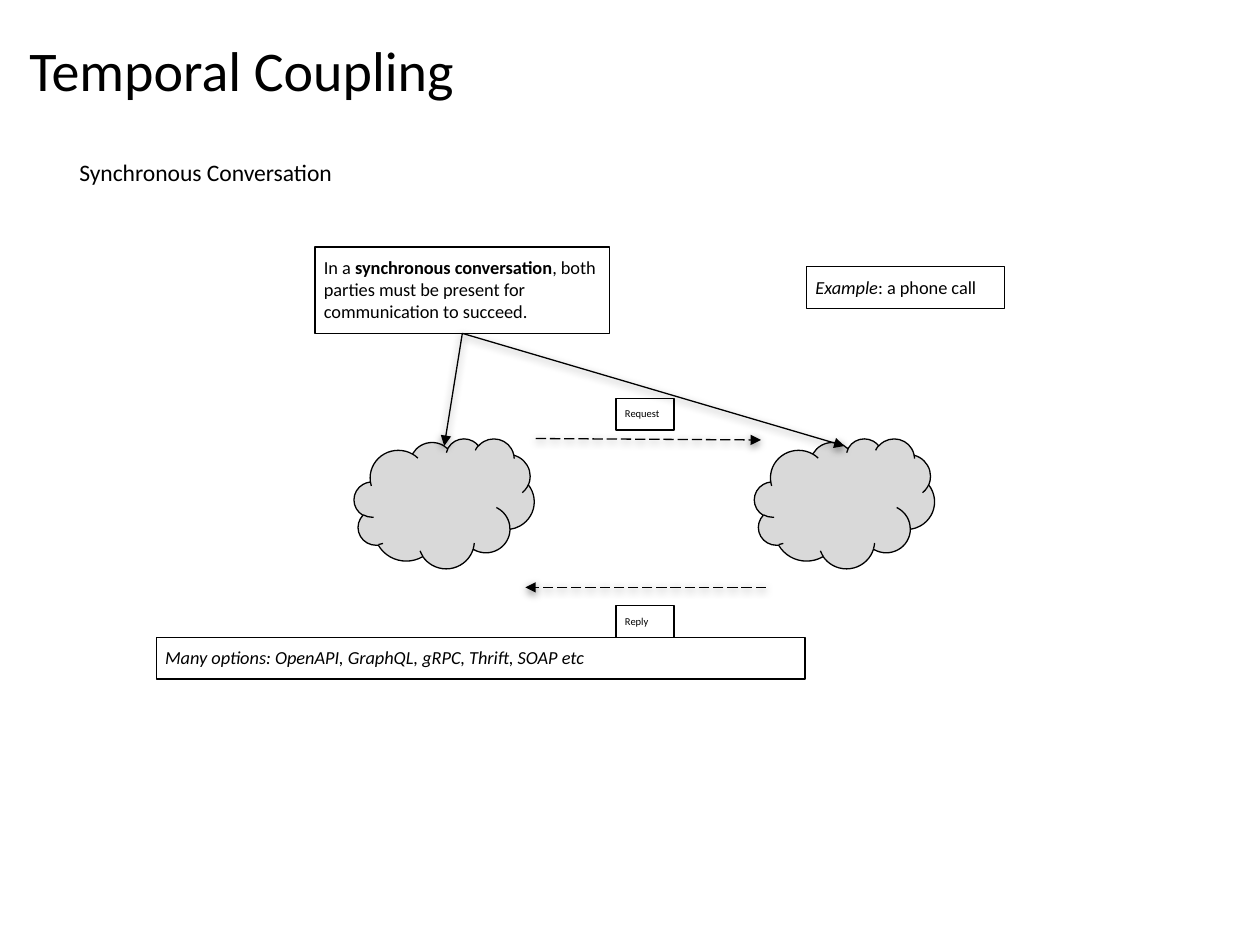
"""Builds the slide on temporal coupling in a synchronous conversation."""
from dataclasses import dataclass

from lxml import etree
from pptx import Presentation
from pptx import util as u
from pptx.dml.color import RGBColor
from pptx.enum import dml, shapes, text
from pptx.oxml import ns
from pptx.slide import Slide

BLACK = RGBColor(0x00, 0x00, 0x00)
GREY = RGBColor(0xD9, 0xD9, 0xD9)


def add_element(parent, tag, **attributes):
    return etree.SubElement(parent, ns.qn(tag), attributes)


@dataclass
class Sketch:
    slide: Slide
    font_name: str = "Calibri"
    line_width: float = 0.75
    inset: float = 0.18

    def set_text(self, shape, runs, size):
        frame = shape.text_frame
        margin = u.Cm(self.inset)
        frame_format = {
            "margin_left": margin, "margin_top": margin,
            "margin_right": margin, "margin_bottom": margin,
            "word_wrap": True, "auto_size": text.MSO_AUTO_SIZE.NONE,
            "vertical_anchor": text.MSO_ANCHOR.TOP,
        }
        for name, value in frame_format.items():
            setattr(frame, name, value)
        paragraph = frame.paragraphs[0]
        paragraph.alignment = text.PP_ALIGN.LEFT
        for words, emphasis in runs:
            run = paragraph.add_run()
            run.text = words
            font_format = {"name": self.font_name, "size": u.Pt(size), **emphasis}
            for name, value in font_format.items():
                setattr(run.font, name, value)
            run.font.color.rgb = BLACK

    def outline(self, line):
        line.color.rgb = BLACK
        line.width = u.Pt(self.line_width)

    def title(self, words, left, top, width, height, size):
        shape = self.slide.shapes.title
        place = {"left": left, "top": top, "width": width, "height": height}
        for name, value in place.items():
            setattr(shape, name, u.Cm(value))
        self.set_text(shape, [(words, {})], size)

    def label(self, words, left, top, width, height, size):
        shape = self.slide.shapes.add_textbox(*map(u.Cm, (left, top, width, height)))
        self.set_text(shape, [(words, {})], size)

    def preset(self, kind, left, top, width, height):
        shape = self.slide.shapes.add_shape(kind, *map(u.Cm, (left, top, width, height)))
        shape.shadow.inherit = False
        self.outline(shape.line)
        return shape

    def cloud(self, left, top, width, height):
        shape = self.preset(shapes.MSO_SHAPE.CLOUD, left, top, width, height)
        shape.fill.solid()
        shape.fill.fore_color.rgb = GREY

    def box(self, runs, left, top, width, height, size=10.5):
        shape = self.preset(shapes.MSO_SHAPE.RECTANGLE, left, top, width, height)
        shape.fill.background()
        self.set_text(shape, runs, size)
        return shape

    def arrow(self, start, end, dashed=False, source=None):
        connector = self.slide.shapes.add_connector(
            shapes.MSO_CONNECTOR.STRAIGHT, *map(u.Cm, (*start, *end)))
        if source is not None:
            connector.begin_connect(source, 2)
        self.outline(connector.line)
        if dashed:
            connector.line.dash_style = dml.MSO_LINE.LONG_DASH
        properties = connector._element.spPr
        add_element(properties.find(ns.qn("a:ln")), "a:tailEnd", type="triangle")
        effects = add_element(properties, "a:effectLst")
        shadow = add_element(effects, "a:outerShdw", blurRad=str(u.Pt(4.5)),
                             dist=str(u.Pt(1.5)), dir="5400000", rotWithShape="0")
        color = add_element(shadow, "a:srgbClr", val=str(BLACK))
        add_element(color, "a:alpha", val="50000")


def main():
    presentation = Presentation()
    presentation.slide_width = u.Cm(25.4)
    presentation.slide_height = u.Cm(19.05)
    slide = presentation.slides.add_slide(presentation.slide_layouts[5])
    sketch = Sketch(slide)

    sketch.title("Temporal Coupling", 0.41, 0.53, 16.48, 1.75, 32)
    sketch.label("Synchronous Conversation", 1.42, 3, 16.48, 0.97, 13.5)

    cloud_lefts = (7.14, 15.21)
    cloud_top, cloud_width = 8.84, 3.63
    for left in cloud_lefts:
        sketch.cloud(left, cloud_top, cloud_width, 2.62)

    rule = sketch.box([
        ("In a ", {}),
        ("synchronous conversation", {"bold": True}),
        (", both parties must be present for communication to succeed.", {}),
    ], 6.35, 4.98, 5.94, 1.74)

    sketch.arrow((10.8, 8.84), (15.34, 8.87), dashed=True)
    sketch.arrow((15.44, 11.84), (10.59, 11.84), dashed=True)
    for words, top in (("Request", 8.03), ("Reply", 12.21)):
        sketch.box([(words, {})], 12.42, top, 1.17, 0.64, size=6)
    for left in cloud_lefts:
        target = (left + cloud_width / 2, cloud_top + 0.15)
        sketch.arrow((9.32, 6.72), target, source=rule)

    sketch.box([("Example", {"italic": True}), (": a phone call", {})],
               16.26, 5.38, 3.99, 0.84)
    sketch.box([("Many options: OpenAPI, GraphQL, gRPC, Thrift, SOAP etc", {"italic": True})],
               3.15, 12.85, 13.08, 0.84)

    presentation.save("out.pptx")


if __name__ == "__main__":
    main()
